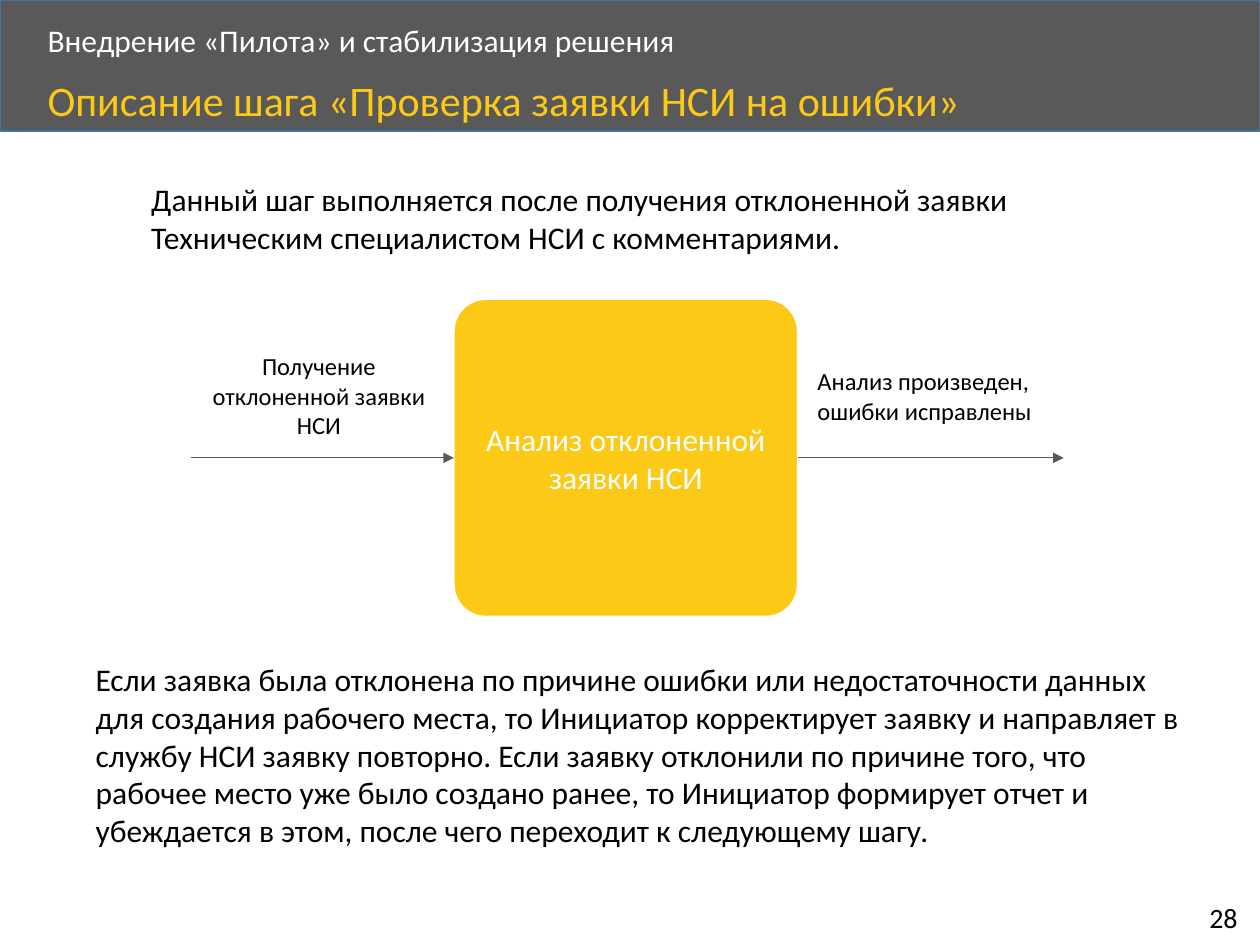
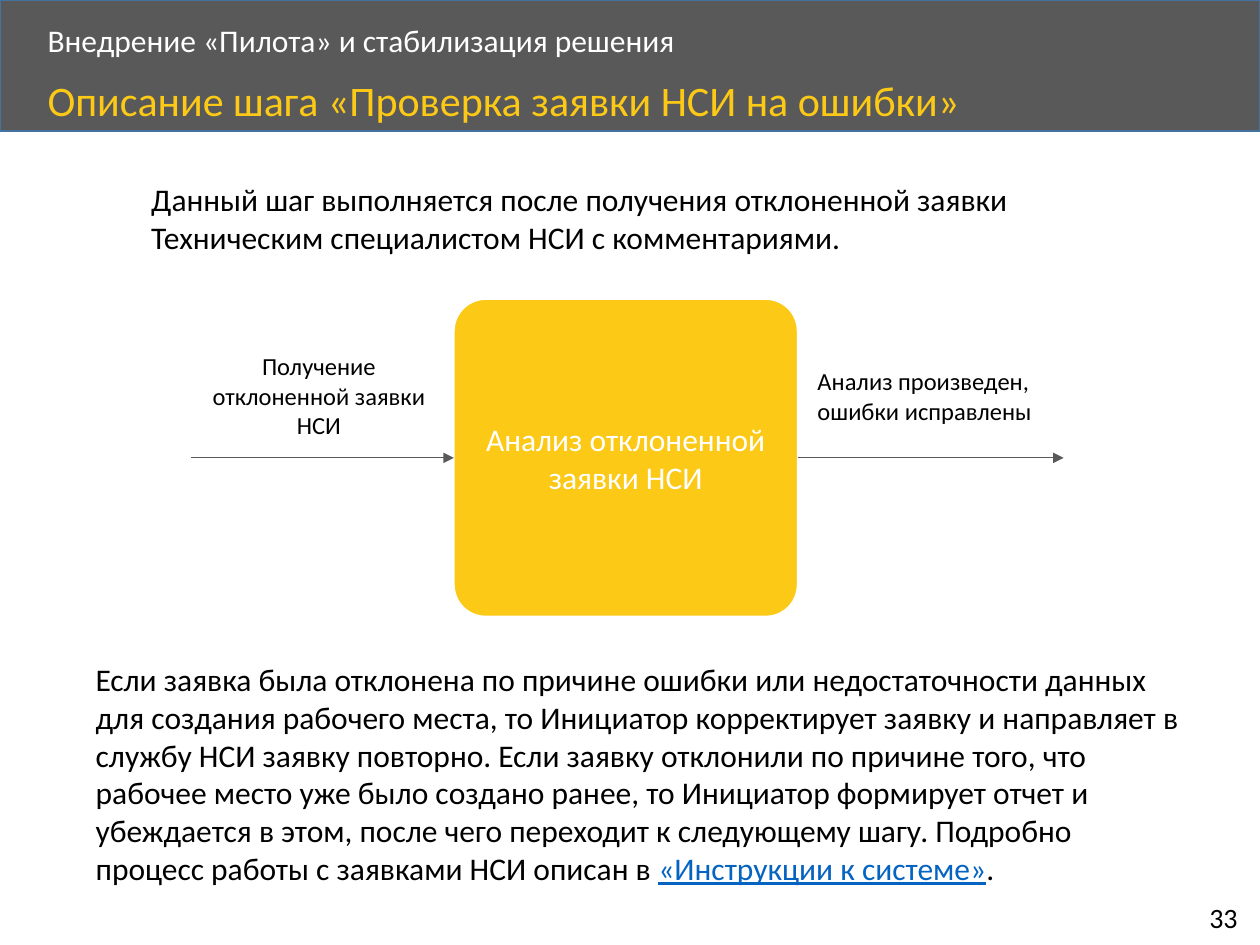
from dataclasses import dataclass
from typing import Optional

from lxml import etree
from pptx import Presentation
from pptx import util as u
from pptx.dml.color import RGBColor
from pptx.enum import shapes, text
from pptx.oxml.ns import qn


# Theme
@dataclass(frozen=True)
class Theme:
    font: str = "Calibri"
    gray: str = "595959"
    band_edge: str = "43739E"
    yellow: str = "FCC917"
    white: str = "FFFFFF"
    black: str = "000000"
    link: str = "0563C1"
    title_size: int = 24
    body_size: int = 18
    number_size: int = 16
    label_size: int = 14


THEME = Theme()


@dataclass(frozen=True)
class Box:
    """Position and size in centimetres."""
    left: float
    top: float
    width: float
    height: float

    @property
    def right(self) -> float:
        return self.left + self.width

    @property
    def middle(self) -> float:
        return self.top + self.height / 2

    def lengths(self) -> tuple:
        return tuple(map(u.Cm, (self.left, self.top, self.width, self.height)))


@dataclass(frozen=True)
class Caption:
    box: Box
    text: str
    size: int = THEME.body_size
    color: str = THEME.black
    align: text.PP_ALIGN = text.PP_ALIGN.LEFT
    anchor: text.MSO_ANCHOR = text.MSO_ANCHOR.TOP
    line_spacing: Optional[float] = None
    wrap: bool = True


@dataclass(frozen=True)
class Step:
    number: str
    explanation: str
    explanation_box: Box
    reference: str = ""


# Content
BAND = Box(0, 0, 25.4, 2.64)
ACTION = Box(9.15, 6.03, 6.93, 6.4)
ACTION_TEXT = "Анализ отклоненной заявки НСИ"
FLOW_START, FLOW_END = 3.86, 21.44

HEADINGS = (
    Caption(Box(0.71, 0.36, 20.5, 0.97), "Внедрение «Пилота» и стабилизация решения",
            color=THEME.white, anchor=text.MSO_ANCHOR.MIDDLE, line_spacing=0.9),
    Caption(Box(0.71, 1.5, 22.02, 1.14), "Описание шага «Проверка заявки НСИ на ошибки»",
            size=THEME.title_size, color=THEME.yellow, line_spacing=0.9),
)
FLOW_CAPTIONS = (
    Caption(Box(2.8, 3.5, 20.24, 1.8),
            "Данный шаг выполняется после получения отклоненной заявки "
            "Техническим специалистом НСИ с комментариями."),
    Caption(Box(3.93, 6.96, 5, 2.06), "Получение отклоненной заявки НСИ",
            size=THEME.label_size, align=text.PP_ALIGN.CENTER),
    Caption(Box(16.23, 7.26, 5.2, 1.45), "Анализ произведен, ошибки исправлены",
            size=THEME.label_size),
)

EXPLANATION = (
    "Если заявка была отклонена по причине ошибки или недостаточности данных "
    "для создания рабочего места, то Инициатор корректирует заявку и направляет "
    "в службу НСИ заявку повторно. Если заявку отклонили по причине того, что "
    "рабочее место уже было создано ранее, то Инициатор формирует отчет и "
    "убеждается в этом, после чего переходит к следующему шагу."
)
STEPS = (
    Step("28", EXPLANATION, Box(1.68, 13.18, 22.48, 4.11)),
    Step("33", EXPLANATION + " Подробно процесс работы c заявками НСИ описан в ",
         Box(1.68, 13.18, 22.48, 4.88), reference="«Инструкции к системе»"),
)


# Drawing helpers
def rgb(color: str) -> RGBColor:
    return RGBColor.from_string(color)


def write(shape, content: str, *, size: int = THEME.body_size, color: str = THEME.black,
          align: text.PP_ALIGN = text.PP_ALIGN.LEFT,
          anchor: text.MSO_ANCHOR = text.MSO_ANCHOR.TOP,
          line_spacing: Optional[float] = None, wrap: bool = True,
          underline: bool = False) -> None:
    """Append formatted text to the first paragraph of a shape."""
    frame = shape.text_frame
    frame.word_wrap = wrap
    frame.vertical_anchor = anchor
    paragraph = frame.paragraphs[0]
    paragraph.alignment = align
    paragraph.line_spacing = line_spacing
    run = paragraph.add_run()
    run.text = content
    run.font.name = THEME.font
    run.font.size = u.Pt(size)
    run.font.color.rgb = rgb(color)
    run.font.underline = underline


def draw_caption(slide, caption: Caption):
    box = slide.shapes.add_textbox(*caption.box.lengths())
    write(box, caption.text, size=caption.size, color=caption.color,
          align=caption.align, anchor=caption.anchor,
          line_spacing=caption.line_spacing, wrap=caption.wrap)
    return box


def draw_block(slide, kind: shapes.MSO_SHAPE, box: Box, fill: str, edge: str):
    block = slide.shapes.add_shape(kind, *box.lengths())
    block.shadow.inherit = False
    block.fill.solid()
    block.fill.fore_color.rgb = rgb(fill)
    block.line.color.rgb = rgb(edge)
    block.line.width = u.Pt(1)
    return block


def draw_arrow(slide, start: float, end: float, height: float) -> None:
    arrow = slide.shapes.add_connector(
        shapes.MSO_CONNECTOR.STRAIGHT,
        u.Cm(start), u.Cm(height), u.Cm(end), u.Cm(height))
    arrow.line.color.rgb = rgb(THEME.gray)
    arrow.line.width = u.Pt(0.5)
    etree.SubElement(arrow.line._get_or_add_ln(), qn("a:tailEnd"), type="triangle")
    etree.SubElement(arrow._element.spPr, qn("a:effectLst"))


# Slide parts
def draw_frame(slide, number: str) -> None:
    draw_block(slide, shapes.MSO_SHAPE.RECTANGLE, BAND, THEME.gray, THEME.band_edge)
    for heading in HEADINGS:
        draw_caption(slide, heading)
    draw_caption(slide, Caption(Box(24.13, 18.03, 1.17, 0.94), number,
                                size=THEME.number_size, wrap=False))


def draw_flow(slide) -> None:
    action = draw_block(slide, shapes.MSO_SHAPE.ROUNDED_RECTANGLE, ACTION,
                        THEME.yellow, THEME.white)
    action.adjustments[0] = 0.1
    write(action, ACTION_TEXT, color=THEME.white, align=text.PP_ALIGN.CENTER,
          anchor=text.MSO_ANCHOR.MIDDLE)
    for start, end in ((FLOW_START, ACTION.left), (ACTION.right, FLOW_END)):
        draw_arrow(slide, start, end, ACTION.middle)
    for caption in FLOW_CAPTIONS:
        draw_caption(slide, caption)


def draw_explanation(slide, step: Step) -> None:
    explanation = draw_caption(slide, Caption(step.explanation_box, step.explanation))
    if step.reference:
        write(explanation, step.reference, color=THEME.link, underline=True)
        write(explanation, ".")


def main() -> None:
    deck = Presentation()
    deck.slide_width, deck.slide_height = u.Cm(25.4), u.Cm(19.05)
    blank = deck.slide_layouts[6]
    for step in STEPS:
        slide = deck.slides.add_slide(blank)
        draw_frame(slide, step.number)
        draw_flow(slide)
        draw_explanation(slide, step)
    deck.save("out.pptx")


if __name__ == "__main__":
    main()
